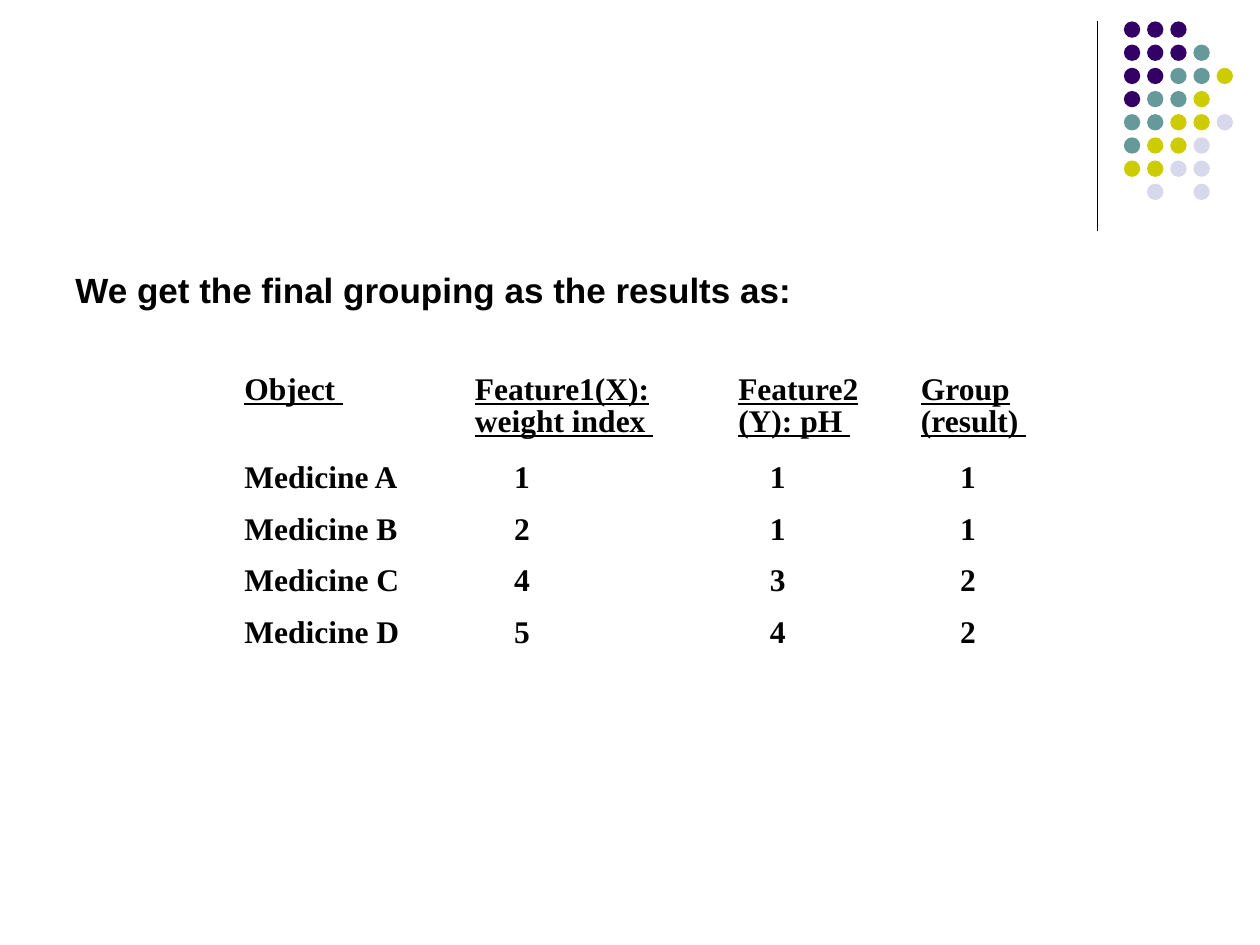
from pptx import Presentation
from pptx.dml.color import RGBColor
from pptx.enum.shapes import MSO_CONNECTOR, MSO_SHAPE
from pptx.enum.text import MSO_AUTO_SIZE, PP_ALIGN
from pptx.oxml.ns import qn
from pptx.util import Inches, Pt
from lxml.etree import SubElement

COLORS = {"text": "000000", "P": "330066", "T": "669999",
          "Y": "CCCC00", "L": "D8D8EC"}
TITLE = "We get the final grouping as the results as:"
# One letter per dot, naming its colour; a dot mark leaves a gap
DOTS = ["PPP", "PPPT", "PPTTY", "PTTY", "TTYYL", "TYYL", "YYLL", ".L.L"]
HEADS = ["Object ", "Feature1(X):\nweight index ",
         "Feature2\n(Y): pH ", "Group\n(result) "]
ROWS = [("Medicine A", 1, 1, 1), ("Medicine B", 2, 1, 1),
        ("Medicine C", 4, 3, 2), ("Medicine D", 5, 4, 2)]
WIDTHS = [1.83, 2.09, 1.45, 1.63]
INDENTS = [0, 0.31, 0.25, 0.31]
HEAD_H, ROW_H = 0.7, 0.41
DOT, STEP = 0.13, 0.184


def color(name):
    return RGBColor.from_string(COLORS[name])


def style(para, font, size, under=False):
    for run in para.runs:
        run.font.name, run.font.size = font, Pt(size)
        run.font.bold, run.font.underline = True, under
        run.font.color.rgb = color("text")


def add_dots(slide):
    for r, row in enumerate(DOTS):
        for c, key in enumerate(row):
            if key == ".":
                continue
            dot = slide.shapes.add_shape(
                MSO_SHAPE.OVAL, Inches(8.92 + c * STEP),
                Inches(0.17 + r * STEP), Inches(DOT), Inches(DOT))
            dot.shadow.inherit = False
            dot.fill.solid()
            dot.fill.fore_color.rgb = color(key)
            dot.line.fill.background()


def add_rule(slide):
    rule = slide.shapes.add_connector(
        MSO_CONNECTOR.STRAIGHT, Inches(8.71), Inches(0.17),
        Inches(8.71), Inches(1.83))
    rule.line.color.rgb = color("text")
    rule.line.width = Pt(0.75)
    SubElement(rule.element.spPr, qn("a:effectLst"))


def add_grid(slide):
    data = [HEADS, *ROWS]
    height = HEAD_H + ROW_H * len(ROWS)
    table = slide.shapes.add_table(
        len(data), len(HEADS), Inches(1.83), Inches(2.92),
        Inches(sum(WIDTHS)), Inches(height)).table
    table.first_row = table.horz_banding = False
    for col, width in zip(table.columns, WIDTHS):
        col.width = Inches(width)
    for r, row in enumerate(data):
        table.rows[r].height = Inches(ROW_H if r else HEAD_H)
        for c, value in enumerate(row):
            cell = table.cell(r, c)
            cell.fill.background()
            cell.text_frame.text = str(value)
            for para in cell.text_frame.paragraphs:
                para.alignment = PP_ALIGN.JUSTIFY
                para.line_spacing = 0.93
                style(para, "Times New Roman", 18, under=r == 0)
                left = 0.01 + (INDENTS[c] if r else 0)
                para._p.get_or_add_pPr().set("marL", str(Inches(left)))


def add_title(slide):
    frame = slide.shapes.add_textbox(
        Inches(0.5), Inches(2.08), Inches(8), Inches(0.44)).text_frame
    frame.word_wrap = True
    frame.auto_size = MSO_AUTO_SIZE.SHAPE_TO_FIT_TEXT
    frame.text = TITLE
    style(frame.paragraphs[0], "Arial", 20)


def main():
    deck = Presentation()
    deck.slide_width, deck.slide_height = Inches(10), Inches(7.5)
    slide = deck.slides.add_slide(deck.slide_layouts[6])
    add_rule(slide)
    add_dots(slide)
    add_grid(slide)
    add_title(slide)
    deck.save("out.pptx")


if __name__ == "__main__":
    main()
